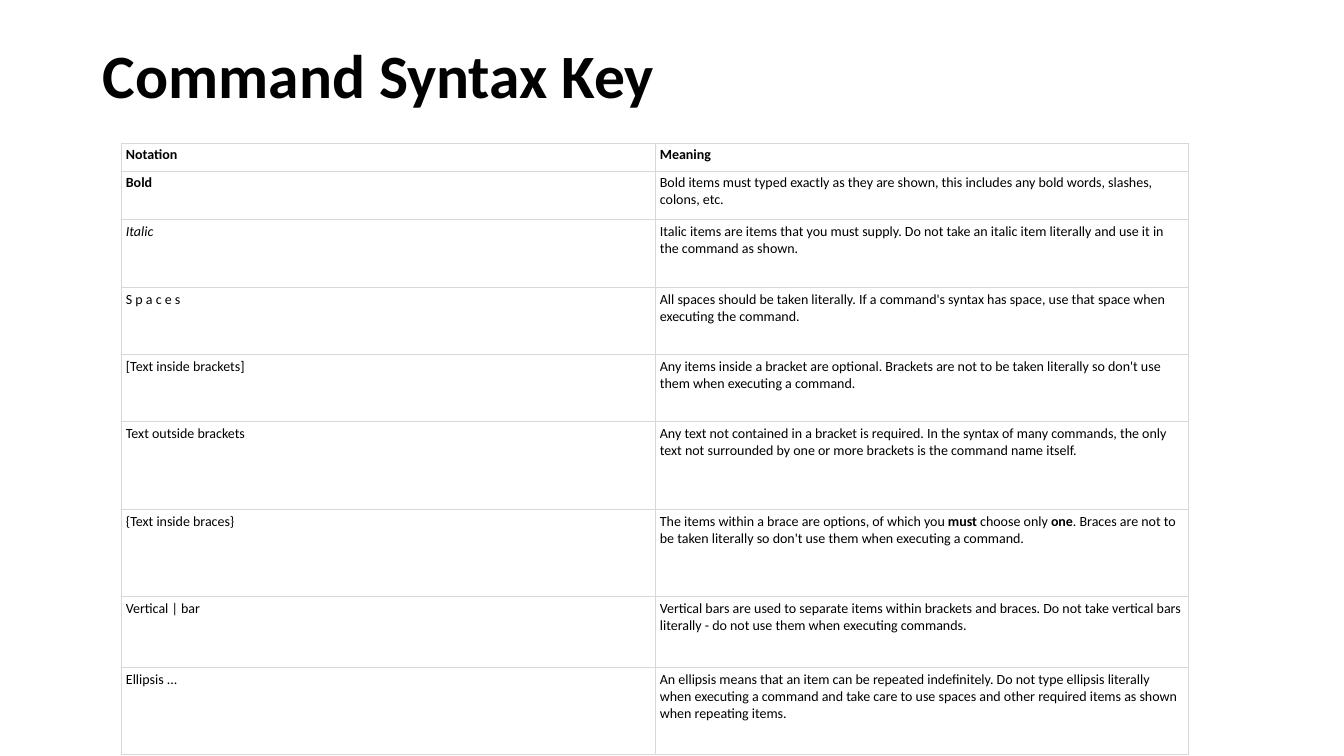
from lxml.etree import SubElement
from pptx import Presentation
from pptx.dml.color import RGBColor
from pptx.enum.text import MSO_ANCHOR
from pptx.oxml.ns import qn
from pptx.util import Emu, Pt

TITLE = "Command Syntax Key"
BOLD, ITALIC = {"bold": True}, {"italic": True}
ROWS = [
    (28, [("Notation", BOLD)], [("Meaning", BOLD)]),
    (49, [("Bold", BOLD)],
     [("Bold items must typed exactly as they are shown, this includes any bold words, slashes, colons, etc.", {})]),
    (68, [("Italic", ITALIC)],
     [("Italic items are items that you must supply. Do not take an italic item literally and use it in the command as shown.", {})]),
    (67, [("S p a c e s", {})],
     [("All spaces should be taken literally. If a command's syntax has space, use that space when executing the command.", {})]),
    (67, [("[Text inside brackets]", {})],
     [("Any items inside a bracket are optional. Brackets are not to be taken literally so don't use them when executing a command.", {})]),
    (88, [("Text outside brackets", {})],
     [("Any text not contained in a bracket is required. In the syntax of many commands, the only text not surrounded by one or more brackets is the command name itself.", {})]),
    (87, [("{Text inside braces}", {})],
     [("The items within a brace are options, of which you ", {}), ("must", BOLD),
      (" choose only ", {}), ("one", BOLD),
      (". Braces are not to be taken literally so don't use them when executing a command.", {})]),
    (71, [("Vertical | bar", {})],
     [("Vertical bars are used to separate items within brackets and braces. Do not take vertical bars literally - do not use them when executing commands.", {})]),
    (87, [("Ellipsis ...", {})],
     [("An ellipsis means that an item can be repeated indefinitely. Do not type ellipsis literally when executing a command and take care to use spaces and other required items as shown when repeating items.", {})]),
]
COLORS = {"text": "000000", "fill": "FFFFFF", "border": "D8D8D8"}
TITLE_BOX = (93, 40, 1159, 146)
LEFT, TOP, COL_W = 121, 143, 534
MARGINS = {"margin_left": 5, "margin_right": 5, "margin_top": 3, "margin_bottom": 3}


def px(n):
    return Emu(round(n * 914400 / 100.8))


def add_runs(p, runs, size):
    for text, style in runs:
        r = p.add_run()
        r.text = text
        font = {"name": "Calibri", "size": Pt(size), "bold": False, "italic": False, **style}
        for key, value in font.items():
            setattr(r.font, key, value)
        r.font.color.rgb = RGBColor.from_string(COLORS["text"])


def add_borders(cell):
    tcPr = cell._tc.get_or_add_tcPr()
    for i, side in enumerate(("lnL", "lnR", "lnT", "lnB")):
        ln = SubElement(tcPr, qn(f"a:{side}"), w=str(Pt(0.75)))
        fill = SubElement(ln, qn("a:solidFill"))
        SubElement(fill, qn("a:srgbClr"), val=COLORS["border"])
        tcPr.insert(i, ln)


def add_title(slide):
    tf = slide.shapes.add_textbox(*map(px, TITLE_BOX)).text_frame
    tf.word_wrap = True
    tf.vertical_anchor = MSO_ANCHOR.TOP
    p = tf.paragraphs[0]
    p.line_spacing = 0.9
    add_runs(p, [(TITLE, BOLD)], 44)


def add_key(slide):
    height = sum(row[0] for row in ROWS)
    table = slide.shapes.add_table(
        len(ROWS), 2, px(LEFT), px(TOP), px(2 * COL_W), px(height)).table
    table.first_row = table.horz_banding = False
    for col in table.columns:
        col.width = px(COL_W)
    for i, (row_h, *cells) in enumerate(ROWS):
        table.rows[i].height = px(row_h)
        for j, runs in enumerate(cells):
            cell = table.cell(i, j)
            for key, value in MARGINS.items():
                setattr(cell, key, px(value))
            cell.fill.solid()
            cell.fill.fore_color.rgb = RGBColor.from_string(COLORS["fill"])
            add_borders(cell)
            add_runs(cell.text_frame.paragraphs[0], runs, 10)


def main():
    prs = Presentation()
    prs.slide_width, prs.slide_height = px(1344), px(756)
    slide = prs.slides.add_slide(prs.slide_layouts[6])
    add_title(slide)
    add_key(slide)
    prs.save("out.pptx")


if __name__ == "__main__":
    main()
